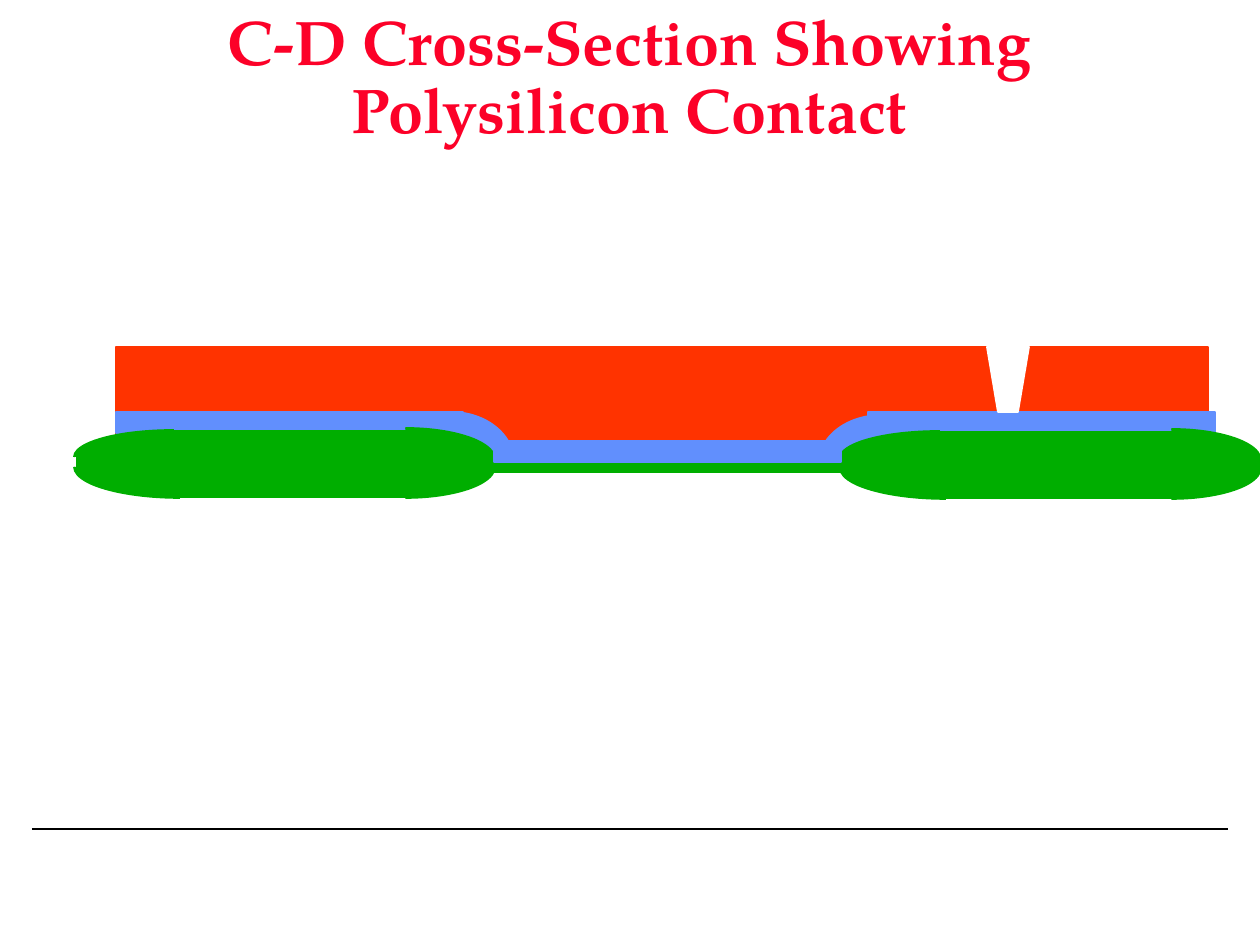
from dataclasses import dataclass

import pptx
import pptx.dml.color
import pptx.enum.shapes
import pptx.enum.text
import pptx.oxml
import pptx.oxml.ns
import pptx.util

SCALE = pptx.util.Inches(1) // 126
QUARTER_TURN = 90 * 0.6  # arc adjustments count 60000ths of a degree, over 100000


@dataclass(frozen=True)
class Theme:
    font: str = "TeX Gyre Pagella"
    title_size: int = 36
    line_width: int = 1
    title: str = "FC0128"
    rule: str = "000000"
    background: str = "FFFFFF"
    cover: str = "FF3300"
    polysilicon: str = "618FFD"
    oxide: str = "00AE00"


@dataclass(frozen=True)
class Box:
    left: int
    top: int
    width: int
    height: int

    def moved(self, right: int, down: int) -> "Box":
        return Box(self.left + right, self.top + down, self.width, self.height)


@dataclass(frozen=True)
class Layer:
    box: Box
    color: str


@dataclass(frozen=True)
class Quarter:
    """A quarter of the ellipse in box, clockwise from turn (0 lower right)."""
    box: Box
    turn: int
    color: str


THEME = Theme()
LOWER_RIGHT, LOWER_LEFT, UPPER_LEFT, UPPER_RIGHT = range(4)

TITLE = Box(136, 0, 987, 158)
LOWER_LAYERS = (
    Layer(Box(116, 347, 1092, 116), THEME.cover),
    Layer(Box(116, 412, 347, 21), THEME.polysilicon),
    Layer(Box(868, 412, 347, 29), THEME.polysilicon),
)
POLYSILICON_BENDS = (
    Quarter(Box(819, 415, 126, 96), UPPER_LEFT, THEME.polysilicon),
    Quarter(Box(388, 412, 126, 100), UPPER_RIGHT, THEME.polysilicon),
)
FIELD_OXIDE_ENDS = (
    Quarter(Box(74, 436, 212, 62), LOWER_LEFT, THEME.oxide),
    Quarter(Box(316, 436, 179, 62), LOWER_RIGHT, THEME.oxide),
    Quarter(Box(316, 428, 179, 62), UPPER_RIGHT, THEME.oxide),
    Quarter(Box(74, 430, 200, 54), UPPER_LEFT, THEME.oxide),
)
FIELD_OXIDE_BARS = (
    Layer(Box(77, 457, 416, 10), THEME.oxide),
    Layer(Box(168, 431, 242, 66), THEME.oxide),
)
FIELD_OXIDE_SHIFTS = ((0, 0), (766, 1))
GATE_LAYERS = (
    Layer(Box(483, 462, 368, 10), THEME.oxide),
    Layer(Box(494, 441, 347, 21), THEME.polysilicon),
)
CONTACT_CUT = ((987, 347), (1029, 347), (1018, 412), (998, 412))


def px(length: int) -> int:
    return length * SCALE


def rgb(color: str) -> pptx.dml.color.RGBColor:
    return pptx.dml.color.RGBColor.from_string(color)


def paint(shape, color: str) -> None:
    shape.shadow.inherit = False
    shape.fill.solid()
    shape.fill.fore_color.rgb = rgb(color)
    shape.line.color.rgb = rgb(color)
    shape.line.width = pptx.util.Pt(THEME.line_width)


def add_preset(shapes, kind, box: Box, color: str):
    shape = shapes.add_shape(
        kind, px(box.left), px(box.top), px(box.width), px(box.height))
    paint(shape, color)
    return shape


def add_layer(shapes, layer: Layer, right: int = 0, down: int = 0) -> None:
    add_preset(shapes, pptx.enum.shapes.MSO_SHAPE.RECTANGLE,
               layer.box.moved(right, down), layer.color)


def add_quarter(shapes, quarter: Quarter, right: int = 0, down: int = 0) -> None:
    arc = add_preset(shapes, pptx.enum.shapes.MSO_SHAPE.ARC,
                     quarter.box.moved(right, down), quarter.color)
    arc.adjustments[0] = quarter.turn * QUARTER_TURN
    arc.adjustments[1] = (quarter.turn + 1) % 4 * QUARTER_TURN


def add_field_oxide(slide, right: int, down: int) -> None:
    shapes = slide.shapes.add_group_shape().shapes
    for quarter in FIELD_OXIDE_ENDS:
        add_quarter(shapes, quarter, right, down)
    for layer in FIELD_OXIDE_BARS:
        add_layer(shapes, layer, right, down)


def add_contact_cut(slide) -> None:
    start, *corners = CONTACT_CUT
    builder = slide.shapes.build_freeform(*start, scale=SCALE)
    builder.add_line_segments(corners, close=True)
    paint(builder.convert_to_shape(), THEME.background)


def add_rule(slide) -> None:
    rule = slide.shapes.add_connector(
        pptx.enum.shapes.MSO_CONNECTOR.STRAIGHT, px(32), px(829), px(1228), px(829))
    rule.line.color.rgb = rgb(THEME.rule)
    rule.line.width = pptx.util.Pt(THEME.line_width)
    properties = rule._element.spPr
    properties.append(pptx.oxml.parse_xml(
        f"<a:effectLst {pptx.oxml.ns.nsdecls('a')}/>"))


def add_title(slide, text: str) -> None:
    title = slide.shapes.add_textbox(
        px(TITLE.left), px(TITLE.top), px(TITLE.width), px(TITLE.height))
    frame = title.text_frame
    frame.word_wrap = True
    frame.vertical_anchor = pptx.enum.text.MSO_ANCHOR.MIDDLE
    paragraph = frame.paragraphs[0]
    paragraph.text = text
    paragraph.alignment = pptx.enum.text.PP_ALIGN.CENTER
    paragraph.line_spacing = 0.9
    paragraph.font.name = THEME.font
    paragraph.font.size = pptx.util.Pt(THEME.title_size)
    paragraph.font.bold = True
    paragraph.font.color.rgb = rgb(THEME.title)


def main() -> None:
    presentation = pptx.Presentation()
    presentation.slide_width = px(1260)
    presentation.slide_height = px(945)
    slide = presentation.slides.add_slide(presentation.slide_layouts[6])

    add_rule(slide)
    for layer in LOWER_LAYERS:
        add_layer(slide.shapes, layer)
    for bend in POLYSILICON_BENDS:
        add_quarter(slide.shapes, bend)
    add_title(slide, "C-D Cross-Section Showing Polysilicon Contact")
    for shift in FIELD_OXIDE_SHIFTS:
        add_field_oxide(slide, *shift)
    for layer in GATE_LAYERS:
        add_layer(slide.shapes, layer)
    add_contact_cut(slide)

    presentation.save("out.pptx")


if __name__ == "__main__":
    main()
